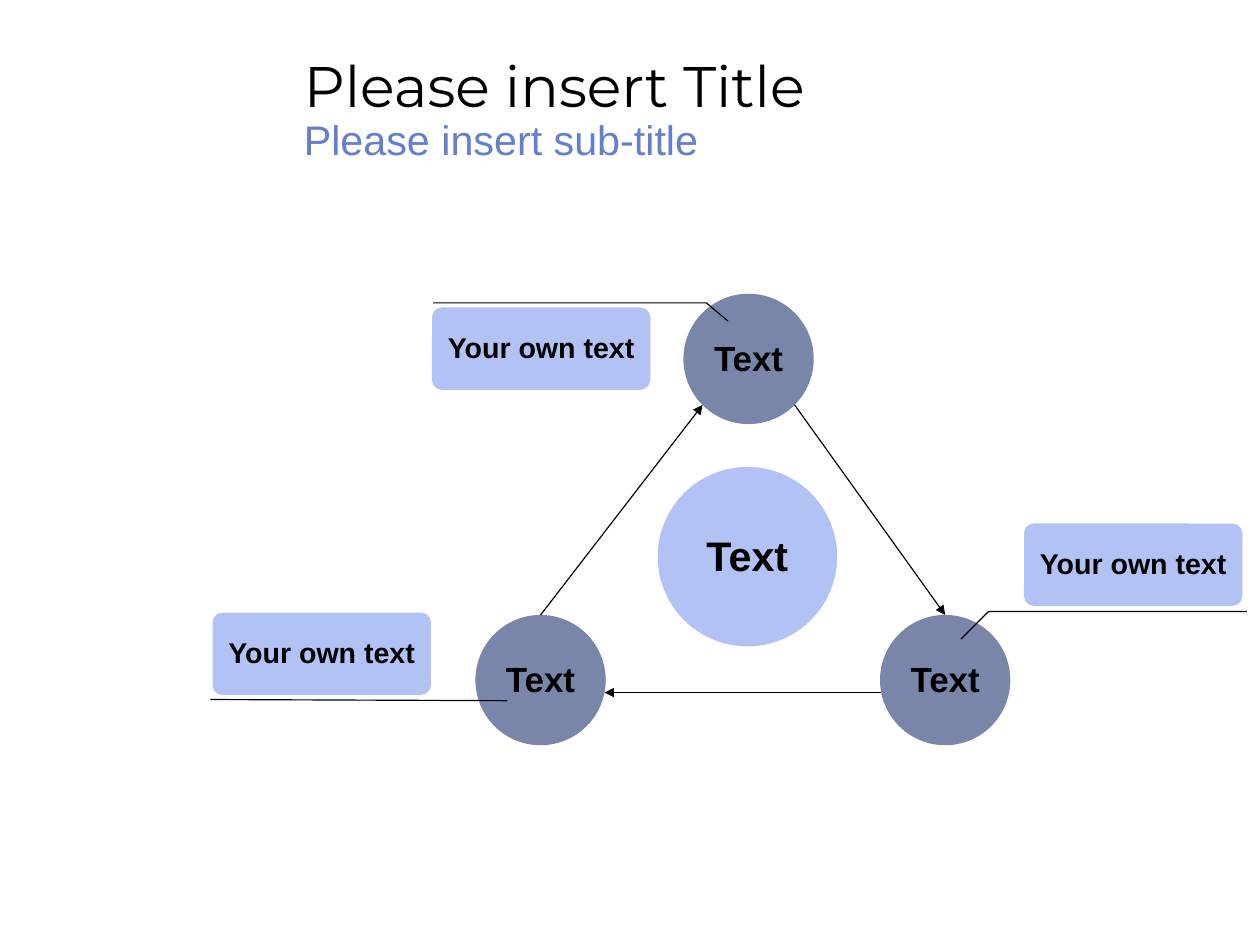
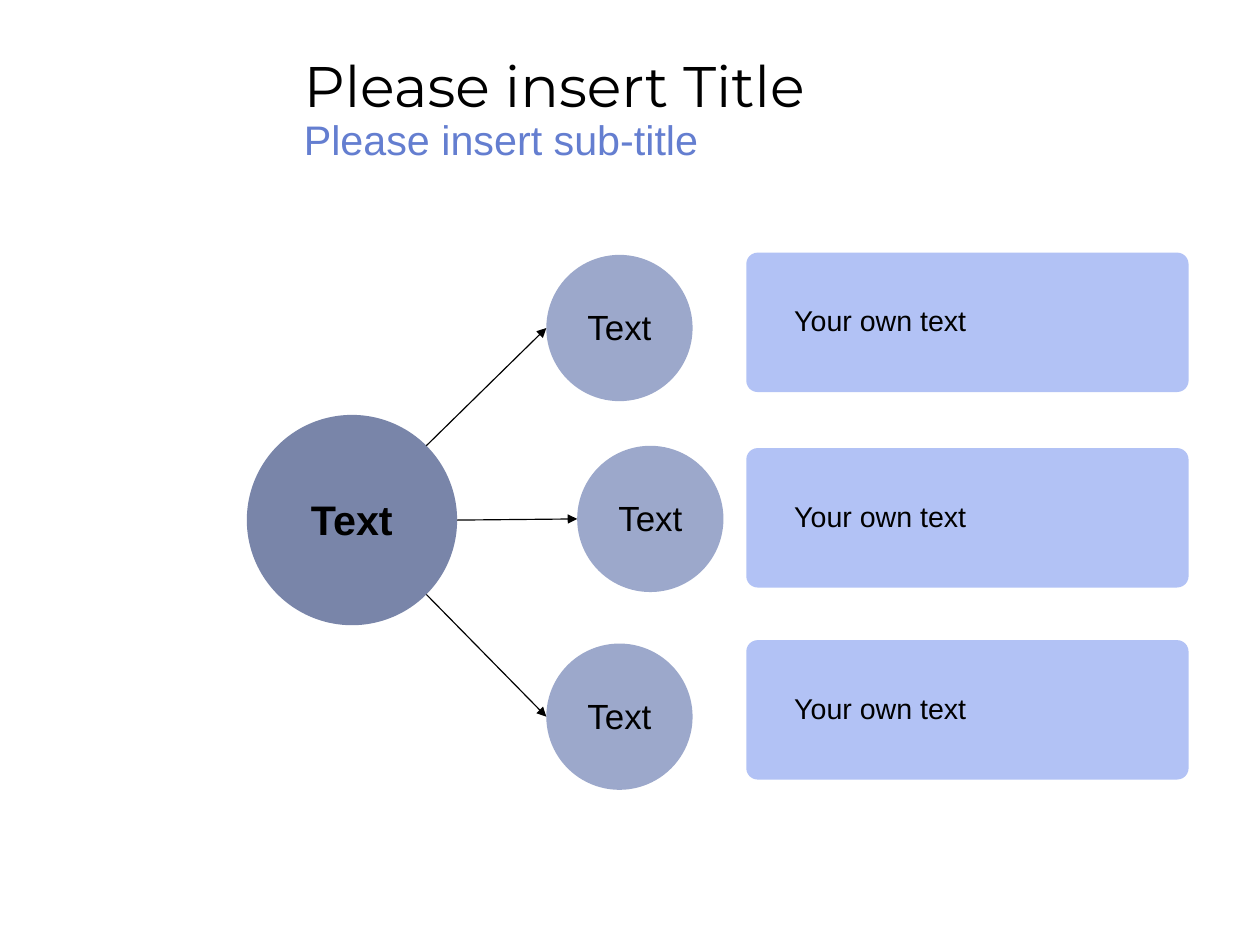
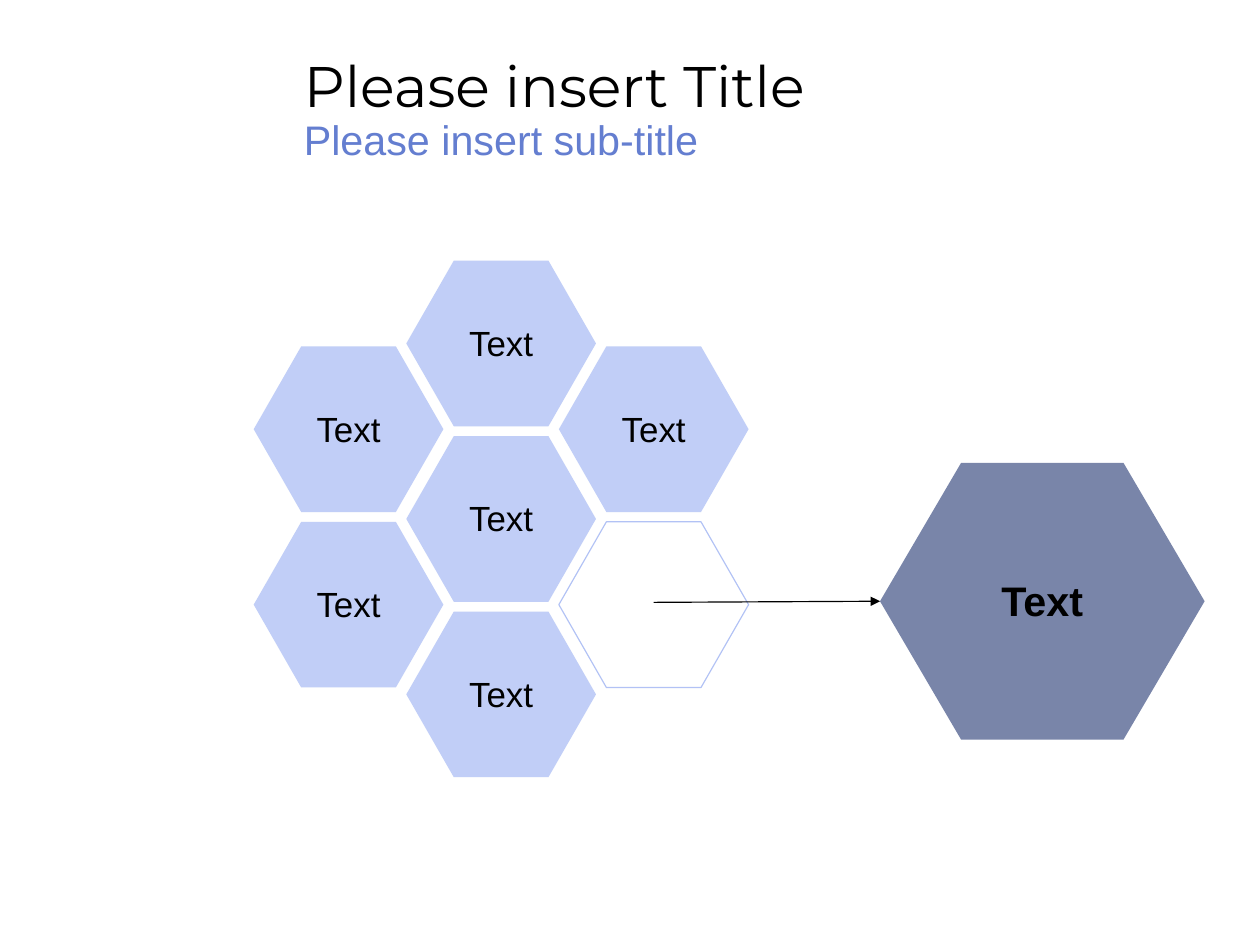
from math import cos, radians, sin

from lxml import etree
from pptx import Presentation
from pptx.dml.color import RGBColor
from pptx.enum.shapes import MSO_CONNECTOR, MSO_SHAPE
from pptx.enum.text import MSO_ANCHOR, PP_ALIGN
from pptx.oxml.ns import qn
from pptx.util import Emu, Inches, Pt

OVAL, ROUND_BOX, HEXAGON = MSO_SHAPE.OVAL, MSO_SHAPE.ROUNDED_RECTANGLE, MSO_SHAPE.HEXAGON
STRAIGHT = MSO_CONNECTOR.STRAIGHT
LEFT, CENTER = PP_ALIGN.LEFT, PP_ALIGN.CENTER
TOP, MIDDLE = MSO_ANCHOR.TOP, MSO_ANCHOR.MIDDLE

COLORS = {"black": "000000", "subtitle": "647ED0", "dark": "7985A9",
          "mid": "9CA8CB", "light": "B2C2F5"}
SLIDE_W, SLIDE_H = Emu(10080625), Emu(7559675)  # 28 by 21 cm screen format
LINE_W = 0.75
INSETS = (0.1, 0.05, 0.1, 0.05)
LABEL_INSETS = (0.1, 0.07, 0.1, 0.05)

# Shared heading
HEADING_BOX = (2.56, 0.28, 7.91, 1.21)
HEADING = [
    ("Please insert Title", dict(size=36, font="Montserrat", spacing=1.18)),
    ("Please insert sub-title", dict(size=26, color="subtitle")),
]
LABEL, OWN_TEXT = "Text", "Your own text"

# Slide 1: cycle of three circles, given by centres
CYCLE_R, HUB_R = 0.57, 0.785
HUB = (6.54, 4.87)
CYCLE = {"top": (6.55, 3.14), "right": (8.27, 5.95), "left": (4.73, 5.95)}
CYCLE_ARROWS = [("left", 270, "top", 135), ("top", 45, "right", 270),
                ("right", 169, "left", 11)]
CALLOUT_SIZE = (1.91, 0.72)
CALLOUTS = [
    ((3.78, 2.69), [(6.37, 2.81), (6.18, 2.65), (3.79, 2.65)]),
    ((8.96, 4.58), [(8.41, 5.59), (8.65, 5.35), (10.91, 5.35)]),
    ((1.86, 5.36), [(1.84, 6.12), (4.44, 6.13)]),
]

# Slide 2: one source, three branches
SOURCE, SOURCE_R, BRANCH_R = (3.08, 4.55), 0.92, 0.64
BRANCHES = [  # circle centre, angle on the source, top of the text box
    ((5.42, 2.87), -45, 2.21),
    ((5.69, 4.54), 0, 3.92),
    ((5.42, 6.27), 45, 5.6),
]
BRANCH_BOX_X, BRANCH_BOX_SIZE = 6.53, (3.87, 1.22)

# Slide 3: honeycomb as (column, row); the outer columns sit lower
COMB_X, COMB_Y, COL_STEP, ROW_STEP, OUTER_DROP = 2.22, 2.28, 1.335, 1.535, 0.75
CELL_SIZE = (1.66, 1.45)
FILLED_CELLS = [(1, 0), (0, 0), (0, 1), (2, 0), (1, 1), (1, 2)]
OPEN_CELL = (2, 1)
RESULT_BOX = (7.7, 4.05, 2.84, 2.42)


def rgb(name):
    return RGBColor.from_string(COLORS[name])


def write(p, text, size=22, font="Arial", color="black", bold=False,
          align=LEFT, spacing=0.93):
    p.alignment, p.line_spacing = align, spacing
    r = p.add_run()
    r.text = text
    r.font.size, r.font.name, r.font.bold = Pt(size), font, bold
    r.font.color.rgb = rgb(color)


def frame(sp, insets, anchor, wrap):
    tf = sp.text_frame
    tf.word_wrap, tf.vertical_anchor = wrap, anchor
    (tf.margin_left, tf.margin_top,
     tf.margin_right, tf.margin_bottom) = map(Inches, insets)
    return tf


def add_block(s, kind, box, fill=None, text=None, adj=None, alpha=None,
              insets=LABEL_INSETS, wrap=False, **fmt):
    sp = s.shapes.add_shape(kind, *map(Inches, box))
    sp.shadow.inherit = False
    if adj is not None:
        sp.adjustments[0] = adj
    if fill:
        sp.fill.solid()
        sp.fill.fore_color.rgb = rgb(fill)
        sp.line.fill.background()
    else:
        sp.fill.background()
        sp.line.color.rgb, sp.line.width = rgb("light"), Pt(LINE_W)
    if alpha:
        color = sp._element.spPr.find(qn("a:solidFill"))[0]
        etree.SubElement(color, qn("a:alpha"), val=str(alpha * 1000))
    if text:
        tf = frame(sp, insets, MIDDLE, wrap)
        write(tf.paragraphs[0], text, **{"align": CENTER, **fmt})


def add_circle(s, center, radius, fill, **fmt):
    x, y = center
    box = (x - radius, y - radius, 2 * radius, 2 * radius)
    add_block(s, OVAL, box, fill, LABEL, **fmt)


def rim(center, radius, angle):
    """Point on a circle, clockwise from the right."""
    a = radians(angle)
    return center[0] + radius * cos(a), center[1] + radius * sin(a)


def add_line(s, start, end, arrow=True):
    line = s.shapes.add_connector(STRAIGHT, *map(Inches, (*start, *end)))
    line.line.color.rgb, line.line.width = rgb("black"), Pt(LINE_W)
    spPr = line._element.spPr
    if arrow:
        etree.SubElement(spPr.find(qn("a:ln")), qn("a:tailEnd"), type="triangle")
    etree.SubElement(spPr, qn("a:effectLst"))


def add_leader(s, points):
    if len(points) == 2:
        add_line(s, *points, arrow=False)
        return
    start, *rest = [(Inches(x), Inches(y)) for x, y in points]
    builder = s.shapes.build_freeform(*start)
    builder.add_line_segments(rest, close=False)
    sp = builder.convert_to_shape()
    sp.shadow.inherit = False
    sp.fill.background()
    sp.line.color.rgb, sp.line.width = rgb("black"), Pt(LINE_W)


def new_slide(prs):
    s = prs.slides.add_slide(prs.slide_layouts[6])
    tb = s.shapes.add_textbox(*map(Inches, HEADING_BOX))
    tf = frame(tb, INSETS, TOP, True)
    for i, (text, fmt) in enumerate(HEADING):
        write(tf.add_paragraph() if i else tf.paragraphs[0], text, **fmt)
    return s


def cycle_slide(prs):
    s = new_slide(prs)
    add_circle(s, HUB, HUB_R, "light", size=26, bold=True)
    for center in CYCLE.values():
        add_circle(s, center, CYCLE_R, "dark", bold=True)
    for a, a_angle, b, b_angle in CYCLE_ARROWS:
        add_line(s, rim(CYCLE[a], CYCLE_R, a_angle), rim(CYCLE[b], CYCLE_R, b_angle))
    for corner, leader in CALLOUTS:
        add_block(s, ROUND_BOX, corner + CALLOUT_SIZE, "light", OWN_TEXT, adj=0.117,
                  insets=INSETS, wrap=True, size=18, bold=True)
        add_leader(s, leader)


def branch_slide(prs):
    s = new_slide(prs)
    add_circle(s, SOURCE, SOURCE_R, "dark", size=26, bold=True)
    for center, angle, box_y in BRANCHES:
        add_circle(s, center, BRANCH_R, "mid")
        add_block(s, ROUND_BOX, (BRANCH_BOX_X, box_y, *BRANCH_BOX_SIZE), "light",
                  OWN_TEXT, adj=0.082, insets=(0.39, -0.02, 0.1, -0.02),
                  wrap=True, size=18, align=LEFT)
        add_line(s, rim(SOURCE, SOURCE_R, angle), rim(center, BRANCH_R, 180))


def cell_box(col, row):
    drop = 0 if col == 1 else OUTER_DROP
    return (COMB_X + col * COL_STEP, COMB_Y + drop + row * ROW_STEP, *CELL_SIZE)


def honeycomb_slide(prs):
    s = new_slide(prs)
    for cell in FILLED_CELLS:
        add_block(s, HEXAGON, cell_box(*cell), "light", LABEL, adj=0.287, alpha=80)
    x, y, w, h = cell_box(*OPEN_CELL)
    add_block(s, HEXAGON, (x, y, w, h), adj=0.287)
    add_block(s, HEXAGON, RESULT_BOX, "dark", LABEL, adj=0.293, size=26, bold=True)
    left, top, _, height = RESULT_BOX
    add_line(s, (x + w / 2, y + h / 2 - 0.02), (left, top + height / 2))


def main():
    prs = Presentation()
    prs.slide_width, prs.slide_height = SLIDE_W, SLIDE_H
    for build in (cycle_slide, branch_slide, honeycomb_slide):
        build(prs)
    prs.save("out.pptx")


if __name__ == "__main__":
    main()
